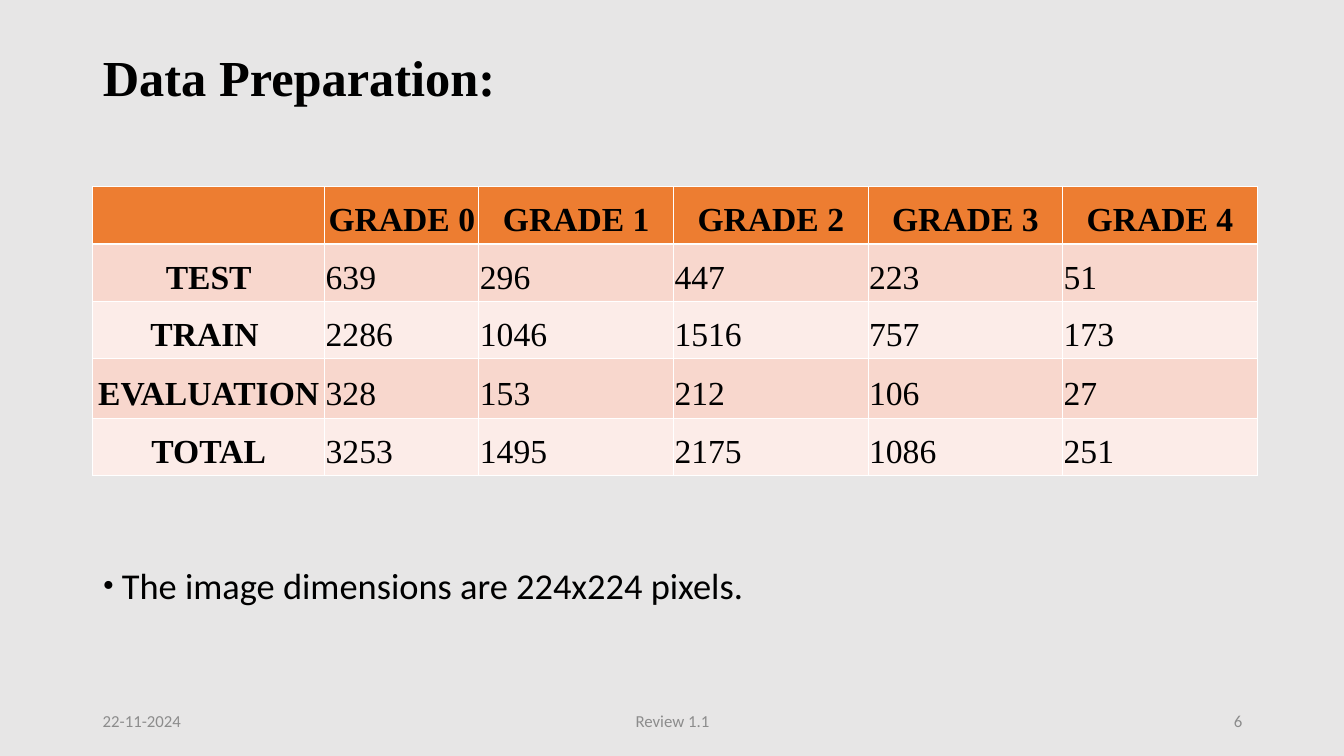
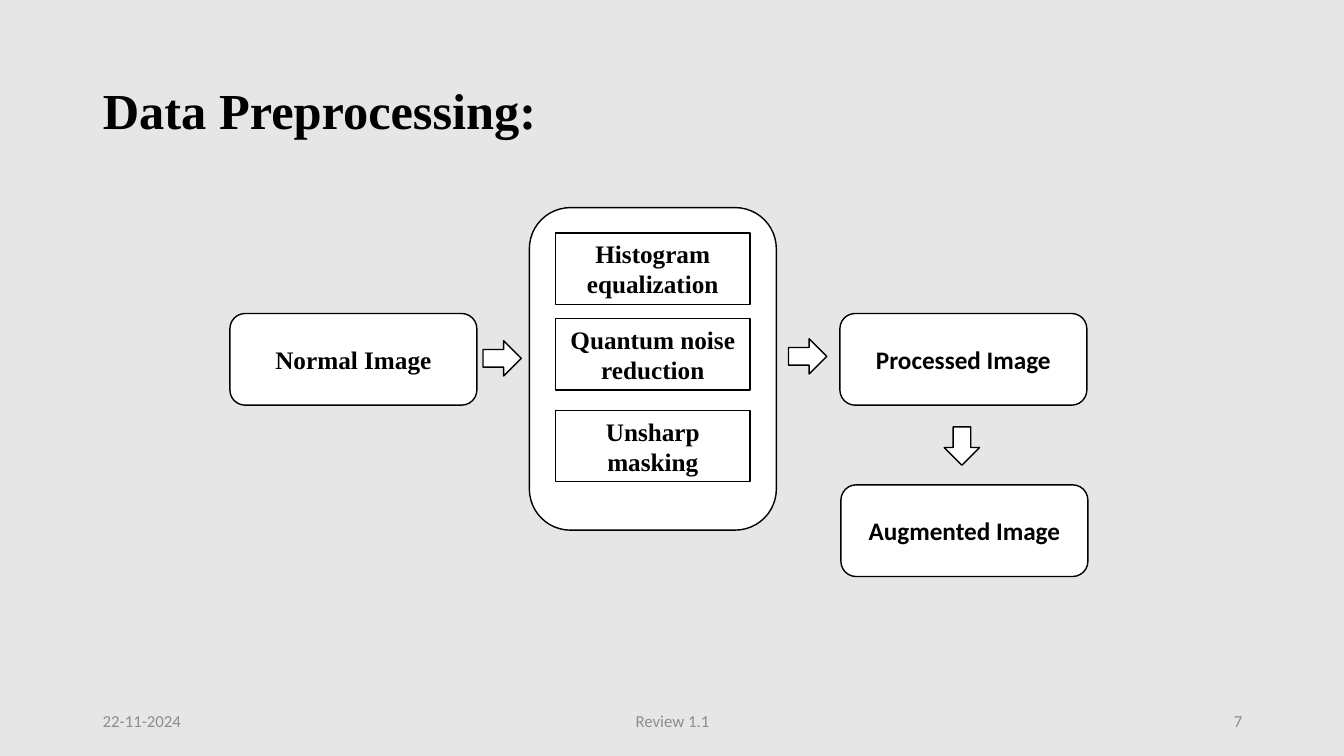
import dataclasses

import pptx
import pptx.dml.color
import pptx.enum.shapes
import pptx.enum.text
import pptx.oxml.ns
import pptx.util
from lxml import etree

PX = 9144  # 100 px to the inch
ALIGN = pptx.enum.text.PP_ALIGN
ANCHOR = pptx.enum.text.MSO_ANCHOR
SHAPE = pptx.enum.shapes.MSO_SHAPE


@dataclasses.dataclass(frozen=True)
class Theme:
    background: str = "E7E6E6"
    ink: str = "000000"
    paper: str = "FFFFFF"
    muted: str = "8C8C8C"
    header: str = "ED7D31"
    bands: tuple = ("F8D7CD", "FCECE8")
    serif: str = "Times New Roman"
    sans: str = "Calibri"
    title: int = 36
    bullet: int = 26
    cell: int = 24
    box: int = 18
    footer: int = 12
    line: float = 1
    border: float = 0.75
    header_border: float = 1.92


def px(*lengths):
    return [pptx.util.Emu(n * PX) for n in lengths]


def rgb(color):
    return pptx.dml.color.RGBColor.from_string(color)


def sub(parent, tag, **attrs):
    return etree.SubElement(parent, pptx.oxml.ns.qn(tag), attrs)


class Deck:
    def __init__(self, theme):
        self.theme = theme
        self.prs = pptx.Presentation()
        self.prs.slide_width, self.prs.slide_height = px(1333, 750)
        fill = self.prs.slide_master.background.fill
        fill.solid()
        fill.fore_color.rgb = rgb(theme.background)
        self.s = None

    def set_text(self, tf, text, size, font, color=None, bold=False, align=ALIGN.LEFT):
        tf.word_wrap = True
        p = tf.paragraphs[0]
        p.text = text
        p.alignment = align
        p.font.size = pptx.util.Pt(size)
        p.font.name = font
        p.font.bold = bold
        p.font.color.rgb = rgb(color or self.theme.ink)
        return p

    def slide(self, title, number, title_lift=0):
        """Add a slide; title_lift is extra space below the title, in px."""
        t = self.theme
        self.s = self.prs.slides.add_slide(self.prs.slide_layouts[5])
        sp = self.s.shapes.title
        sp.left, sp.top, sp.width, sp.height = px(92, 40, 1150, 145)
        tf = sp.text_frame
        tf.auto_size = pptx.enum.text.MSO_AUTO_SIZE.NONE
        tf.vertical_anchor = ANCHOR.MIDDLE
        tf.margin_bottom, = px(5 + title_lift)
        p = self.set_text(tf, title, t.title, t.serif, bold=True)
        p.line_spacing = 0.9
        self.footer(number)

    def footer(self, number):
        t = self.theme
        for text, x, width, align in (
            ("22-11-2024", 92, 300, ALIGN.LEFT),
            ("Review 1.1", 442, 450, ALIGN.CENTER),
            (str(number), 942, 300, ALIGN.RIGHT),
        ):
            tf = self.s.shapes.add_textbox(*px(x, 695, width, 40)).text_frame
            tf.vertical_anchor = ANCHOR.MIDDLE
            self.set_text(tf, text, t.footer, t.sans, t.muted, align=align)

    def bullet(self, text, x, y, width, height):
        t = self.theme
        tf = self.s.shapes.add_textbox(*px(x, y, width, height)).text_frame
        tf.margin_top, = px(5)
        p = self.set_text(tf, text, t.bullet, t.sans)
        pPr = p._p.get_or_add_pPr()
        indent = 19 * PX
        pPr.set("marL", str(indent))
        pPr.set("indent", str(-indent))
        marks = (("a:buSzPct", {"val": "92000"}),
                 ("a:buFont", {"typeface": t.serif}),
                 ("a:buChar", {"char": "•"}))
        for i, (tag, attrs) in enumerate(marks):
            pPr.insert(i, sub(pPr, tag, **attrs))

    def borders(self, cell, **widths):
        """Draw cell borders; widths override the usual one by side (L, R, T, B)."""
        tcPr = cell._tc.get_or_add_tcPr()
        for side in "LRTB":
            width = widths.get(side, self.theme.border)
            ln = sub(tcPr, "a:ln" + side, w=str(pptx.util.Pt(width)))
            sub(sub(ln, "a:solidFill"), "a:srgbClr", val=self.theme.paper)

    def table(self, rows, x, y, widths, heights):
        t = self.theme
        frame = self.s.shapes.add_table(
            len(rows), len(widths), *px(x, y, sum(widths), sum(heights)))
        table = frame.table
        for column, width in zip(table.columns, px(*widths)):
            column.width = width
        for row, height in zip(table.rows, px(*heights)):
            row.height = height
        for i, row in enumerate(rows):
            edge = {0: {"B": t.header_border}, 1: {"T": t.header_border}}.get(i, {})
            for j, text in enumerate(row):
                cell = table.cell(i, j)
                self.borders(cell, **edge)
                cell.fill.solid()
                cell.fill.fore_color.rgb = rgb(t.bands[(i - 1) % 2] if i else t.header)
                cell.vertical_anchor = ANCHOR.BOTTOM
                (cell.margin_left, cell.margin_top,
                 cell.margin_right, cell.margin_bottom) = px(1, 1, 1, 5)
                label = i == 0 or j == 0
                self.set_text(cell.text_frame, str(text), t.cell, t.serif, bold=label,
                              align=ALIGN.CENTER if label else ALIGN.LEFT)

    def shape(self, kind, x, y, width, height, text="", font=None):
        t = self.theme
        sp = self.s.shapes.add_shape(kind, *px(x, y, width, height))
        sp.shadow.inherit = False
        sp.fill.solid()
        sp.fill.fore_color.rgb = rgb(t.paper)
        sp.line.color.rgb = rgb(t.ink)
        sp.line.width = pptx.util.Pt(t.line)
        if text:
            sp.text_frame.vertical_anchor = ANCHOR.MIDDLE
            self.set_text(sp.text_frame, text, t.box, font or t.serif, bold=True,
                          align=ALIGN.CENTER)
        return sp

    def stage(self, text, x, y, font=None):
        return self.shape(SHAPE.ROUNDED_RECTANGLE, x, y, 245, 91, text, font)

    def arrow(self, x, y, rotation=0):
        self.shape(SHAPE.RIGHT_ARROW, x, y, 38, 35).rotation = rotation


def data_preparation(deck):
    deck.slide("Data Preparation:", 6, title_lift=66)
    rows = [
        [""] + [f"GRADE {n}" for n in range(5)],
        ["TEST", 639, 296, 447, 223, 51],
        ["TRAIN ", 2286, 1046, 1516, 757, 173],
        ["EVALUATION", 328, 153, 212, 106, 27],
        ["TOTAL", 3253, 1495, 2175, 1086, 251],
    ]
    deck.table(rows, 92, 185, [230, 153] + [193] * 4, [57, 57, 57, 59, 57])
    deck.bullet("The image dimensions are 224x224 pixels.", 92, 554, 1096, 53)


def data_preprocessing(deck):
    sans = deck.theme.sans
    deck.slide("Data Preprocessing:", 7)
    deck.shape(SHAPE.ROUNDED_RECTANGLE, 525, 206, 245, 320)
    for text, y in (("Histogram equalization", 231),
                    ("Quantum noise reduction", 316),
                    ("Unsharp masking", 407)):
        deck.shape(SHAPE.RECTANGLE, 551, y, 193, 71, text)
    deck.stage("Normal Image", 228, 311)
    deck.stage("Processed Image", 833, 311, sans)
    deck.stage("Augmented Image", 834, 481, sans)
    deck.arrow(479, 338)
    deck.arrow(782, 336)
    deck.arrow(935, 425, rotation=90)


def main():
    deck = Deck(Theme())
    data_preparation(deck)
    data_preprocessing(deck)
    deck.prs.save("out.pptx")


if __name__ == "__main__":
    main()
